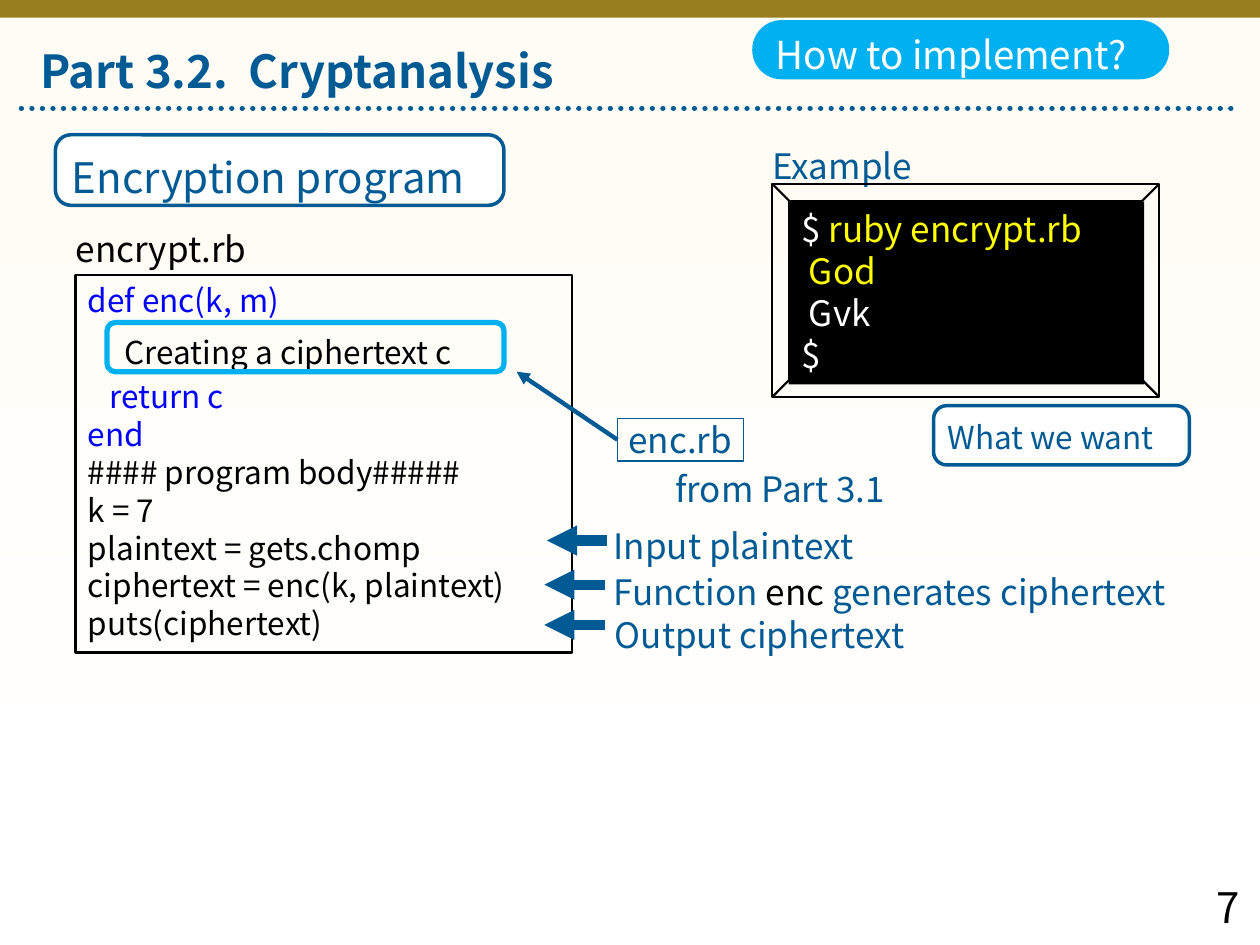
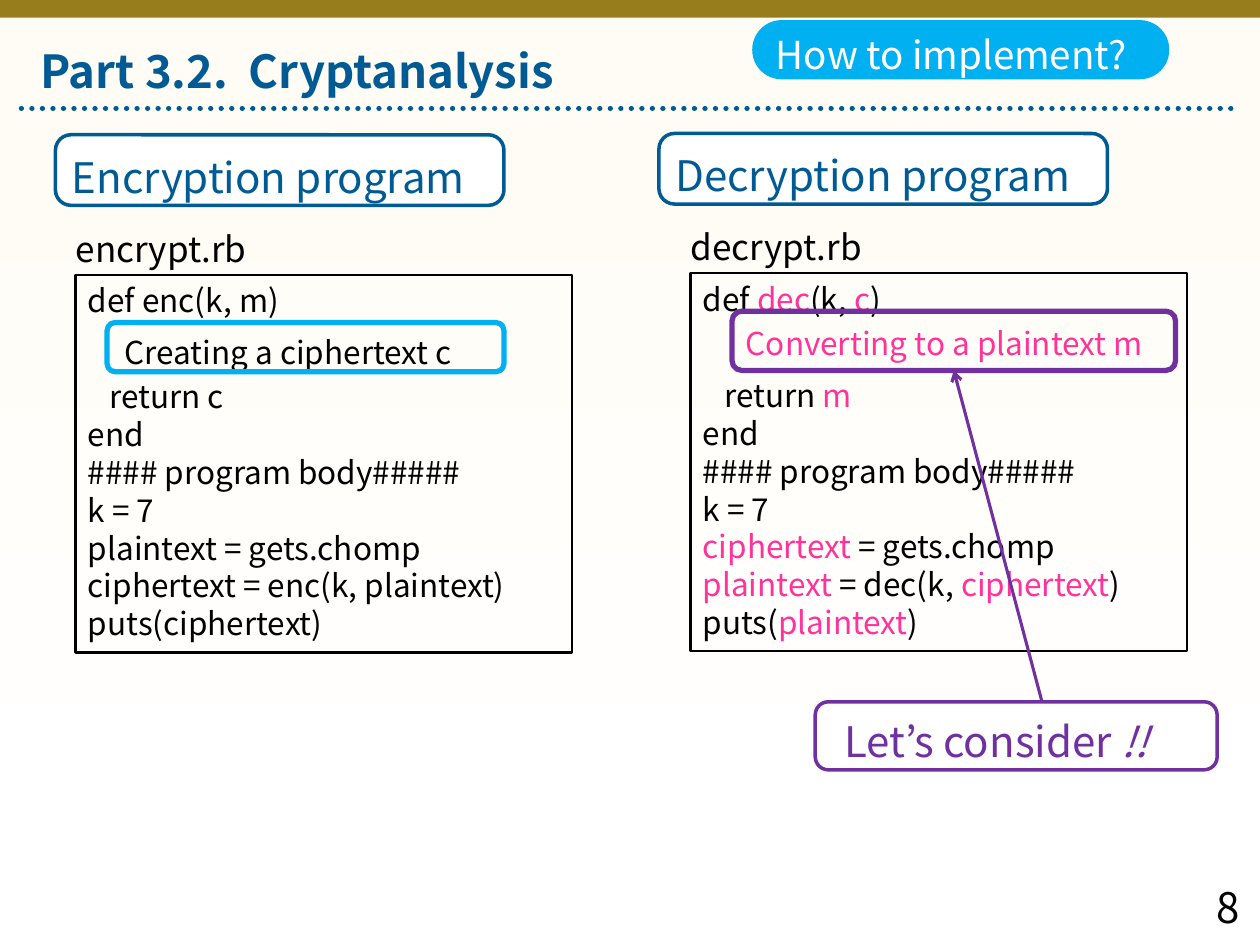
from dataclasses import dataclass
from typing import NamedTuple

from lxml import etree
from pptx import Presentation
from pptx.dml.color import RGBColor
from pptx.enum.dml import MSO_LINE
from pptx.enum.shapes import MSO_CONNECTOR, MSO_SHAPE
from pptx.enum.text import MSO_ANCHOR, MSO_AUTO_SIZE, PP_ALIGN
from pptx.oxml.ns import qn
from pptx.util import Inches, Pt

RECT, ROUND, BEVEL = MSO_SHAPE.RECTANGLE, MSO_SHAPE.ROUNDED_RECTANGLE, MSO_SHAPE.BEVEL
STRAIGHT, DOTS = MSO_CONNECTOR.STRAIGHT, MSO_LINE.ROUND_DOT
TOP, MIDDLE = MSO_ANCHOR.TOP, MSO_ANCHOR.MIDDLE
LEFT, CENTER, RIGHT = PP_ALIGN.LEFT, PP_ALIGN.CENTER, PP_ALIGN.RIGHT
NO_FIT = MSO_AUTO_SIZE.NONE

NAVY = RGBColor(0x00, 0x5B, 0x94)
SKY = RGBColor(0x00, 0xB0, 0xF0)
GOLD = RGBColor(0x98, 0x7D, 0x1C)
CREAM = RGBColor(0xFF, 0xFC, 0xF5)
WHITE = RGBColor(0xFF, 0xFF, 0xFF)
BLACK = RGBColor(0x00, 0x00, 0x00)
BLUE = RGBColor(0x00, 0x00, 0xFF)
YELLOW = RGBColor(0xFF, 0xFF, 0x00)
PINK = RGBColor(0xFF, 0x33, 0x99)
PURPLE = RGBColor(0x70, 0x30, 0xA0)

FONT = "Noto Sans CJK JP"
FLUSH = (0, 0, 0, 0)
INSET = (0.1, 0.05, 0.1, 0.05)


class Run(NamedTuple):
    text: str
    color: RGBColor = BLACK
    italic: bool = False


class Area(NamedTuple):
    left: float
    top: float
    width: float
    height: float


@dataclass
class Box:
    area: Area
    kind: int = RECT
    fill: RGBColor | None = None
    line: RGBColor | None = None
    weight: float = 1.25
    adjust: float | None = None


@dataclass
class Note:
    """A remark beside a code line, with a thick arrow to that line."""
    runs: list[Run]
    left: float
    top: float
    tip: float
    level: float


Lines = list[list[Run]]


def write(frame, lines: Lines, size: float, inset=FLUSH, anchor=TOP,
          align=LEFT, wrap: bool = True) -> None:
    frame.word_wrap = wrap
    frame.auto_size = NO_FIT
    frame.vertical_anchor = anchor
    (frame.margin_left, frame.margin_top,
     frame.margin_right, frame.margin_bottom) = map(Inches, inset)
    for index, runs in enumerate(lines):
        para = frame.add_paragraph() if index else frame.paragraphs[0]
        para.alignment = align
        para.font.name, para.font.size = FONT, Pt(size)
        for item in runs:
            run = para.add_run()
            run.text = item.text
            run.font.color.rgb = item.color
            if item.italic:
                run.font.italic = True


def draw(slide, box: Box):
    shape = slide.shapes.add_shape(box.kind, *map(Inches, box.area))
    shape.shadow.inherit = False
    if box.adjust is not None:
        shape.adjustments[0] = box.adjust
    if box.fill is None:
        shape.fill.background()
    else:
        shape.fill.solid()
        shape.fill.fore_color.rgb = box.fill
    if box.line is None:
        shape.line.fill.background()
    else:
        shape.line.color.rgb = box.line
        shape.line.width = Pt(box.weight)
    return shape


def label(slide, area: Area, runs: list[Run], size: float, **style) -> None:
    box = slide.shapes.add_textbox(*map(Inches, area))
    write(box.text_frame, [runs], size, **style)


def link(slide, start: tuple[float, float], end: tuple[float, float],
         color: RGBColor, weight: float, head: str | None = None):
    line = slide.shapes.add_connector(STRAIGHT, *map(Inches, start + end))
    line.line.color.rgb = color
    line.line.width = Pt(weight)
    if head:
        tail = etree.SubElement(line.line._get_or_add_ln(), qn("a:tailEnd"))
        tail.set("type", head)
    etree.SubElement(line._element.spPr, qn("a:effectLst"))
    return line


def start_slide(deck, number: int):
    """Add a slide with the shared background, band, title, badge and number."""
    slide = deck.slides.add_slide(deck.slide_layouts[5])
    fill = slide.background.fill
    fill.gradient()
    fill.gradient_angle = 270
    for stop, color, place in zip(fill.gradient_stops, (CREAM, WHITE), (0.12, 0.9)):
        stop.color.rgb = color
        stop.position = place

    rule = link(slide, (0.17, 0.86), (9.83, 0.86), NAVY, 3)
    rule.line.dash_style = DOTS
    rule.line._get_or_add_ln().set("cap", "rnd")
    draw(slide, Box(Area(0, -0.01, 10, 0.15), fill=GOLD))
    label(slide, Area(8.4, 6.95, 1.54, 0.5), [Run(str(number))], 24,
          inset=INSET, align=RIGHT)

    title = slide.shapes.title
    title.left, title.top, title.width, title.height = map(
        Inches, (0.32, 0.34, 4.79, 0.47))
    write(title.text_frame, [[Run("Part 3.2.  Cryptanalysis", NAVY)]], 26)
    title.text_frame.paragraphs[0].font.bold = True

    badge = draw(slide, Box(Area(5.97, 0.16, 3.31, 0.47), ROUND, SKY, adjust=0.496))
    write(badge.text_frame, [[Run("How to implement?", WHITE)]], 22,
          inset=(0.12, 0.12, 0, 0.05), anchor=MIDDLE)
    return slide


def heading(slide, left: float, top: float, text: str) -> None:
    draw(slide, Box(Area(left, top, 3.56, 0.56), ROUND, WHITE, NAVY, 2, 0.22))
    label(slide, Area(left + 0.13, top + 0.13, 3.76, 0.41), [Run(text, NAVY)], 24)


def listing(slide, left: float, top: float, name: str, lines: Lines) -> None:
    """Draw a named code box, leaving room for a step before the return line."""
    box = draw(slide, Box(Area(left, top, 3.94, 3), line=BLACK))
    write(box.text_frame, lines, 18, inset=INSET)
    back = box.text_frame.paragraphs[1]
    back.space_before = Pt(33.6)
    back._p.get_or_add_pPr().set("marL", str(Inches(0.17)))
    label(slide, Area(left, top - 0.38, 1.42, 0.34), [Run(name)], 20,
          anchor=MIDDLE, wrap=False)


def encryption(slide, color: RGBColor) -> None:
    """Draw the encryption program with its function in the given colour."""
    function = ["def enc(k, m)", "return c", "end"]
    body = ["#### program body#####", "k = 7", "plaintext = gets.chomp",
            "ciphertext = enc(k, plaintext)", "puts(ciphertext)"]
    lines = [[Run(text, color)] for text in function] + [[Run(text)] for text in body]
    listing(slide, 0.6, 2.18, "encrypt.rb", lines)
    label(slide, Area(0.99, 2.64, 3.79, 0.3), [Run("Creating a ciphertext c")], 18,
          anchor=MIDDLE)
    draw(slide, Box(Area(0.85, 2.56, 3.15, 0.39), ROUND, None, SKY, 3, 0.164))
    heading(slide, 0.44, 1.07, "Encryption program")


def example(slide) -> None:
    label(slide, Area(6.13, 1.14, 1.17, 0.34), [Run("Example", NAVY)], 20,
          anchor=MIDDLE, wrap=False)
    draw(slide, Box(Area(6.13, 1.46, 3.07, 1.69), BEVEL, line=BLACK, adjust=0.081))
    screen = draw(slide, Box(Area(6.26, 1.6, 2.82, 1.45), fill=BLACK))
    write(screen.text_frame, [
        [Run("$ ", WHITE), Run("ruby encrypt.rb", YELLOW)],
        [Run(" God", YELLOW)],
        [Run(" Gvk", WHITE)],
        [Run("$", WHITE)],
    ], 20, inset=INSET)
    draw(slide, Box(Area(7.41, 3.22, 2.03, 0.47), ROUND, WHITE, NAVY, 2, 0.22))
    label(slide, Area(7.52, 3.32, 1.92, 0.3), [Run("What we want", NAVY)], 18)


def first_slide(deck) -> None:
    slide = start_slide(deck, 7)
    example(slide)
    encryption(slide, BLUE)
    notes = [
        Note([Run("Input plaintext", NAVY)], 4.87, 4.16, 4.34, 4.29),
        Note([Run("Function ", NAVY), Run("enc"), Run(" generates ciphertext", NAVY)],
             4.87, 4.53, 4.32, 4.64),
        Note([Run("Output ciphertext", NAVY)], 4.88, 4.87, 4.32, 4.96),
    ]
    for note in notes:
        link(slide, (note.tip + 0.48, note.level), (note.tip, note.level),
             NAVY, 5.75, "triangle")
        label(slide, Area(note.left, note.top, 5.07, 0.34), note.runs, 20)

    file = draw(slide, Box(Area(4.9, 3.32, 1, 0.34), line=NAVY, weight=0.75))
    write(file.text_frame, [[Run("enc.rb", NAVY)]], 20, align=CENTER)
    arrow = link(slide, (4.9, 3.49), (4.1, 2.95), NAVY, 2.5, "triangle")
    arrow.begin_connect(file, 1)
    label(slide, Area(5.36, 3.71, 1.93, 0.34), [Run("from Part 3.1", NAVY)], 20)


def second_slide(deck) -> None:
    slide = start_slide(deck, 8)
    encryption(slide, BLACK)
    heading(slide, 5.23, 1.06, "Decryption program")
    listing(slide, 5.48, 2.17, "decrypt.rb", [
        [Run("def "), Run("dec", PINK), Run("(k, "), Run("c", PINK), Run(")")],
        [Run("return "), Run("m", PINK)],
        [Run("end")],
        [Run("#### program body#####")],
        [Run("k = 7")],
        [Run("ciphertext", PINK), Run(" = gets.chomp")],
        [Run("plaintext", PINK), Run(" = dec(k, "), Run("ciphertext", PINK), Run(")")],
        [Run("puts("), Run("plaintext", PINK), Run(")")],
    ])
    label(slide, Area(5.92, 2.57, 3.5, 0.31),
          [Run("Converting to a plaintext m", PINK)], 18, anchor=MIDDLE)
    step = draw(slide, Box(Area(5.81, 2.47, 3.52, 0.47), ROUND, None, PURPLE, 3, 0.164))
    prompt = draw(slide, Box(Area(6.47, 5.57, 3.19, 0.54), ROUND, None, PURPLE, 2, 0.192))
    write(prompt.text_frame, [[Run("Let’s consider ", PURPLE), Run("!!", PURPLE, True)]],
          24, inset=(0.2, 0.08, 0, 0), anchor=MIDDLE)
    arrow = link(slide, (8.27, 5.57), (7.57, 2.94), PURPLE, 1.75, "arrow")
    arrow.end_connect(step, 2)


def main() -> None:
    deck = Presentation()
    deck.slide_width, deck.slide_height = Inches(10), Inches(7.5)
    first_slide(deck)
    second_slide(deck)
    deck.save("out.pptx")


if __name__ == "__main__":
    main()
